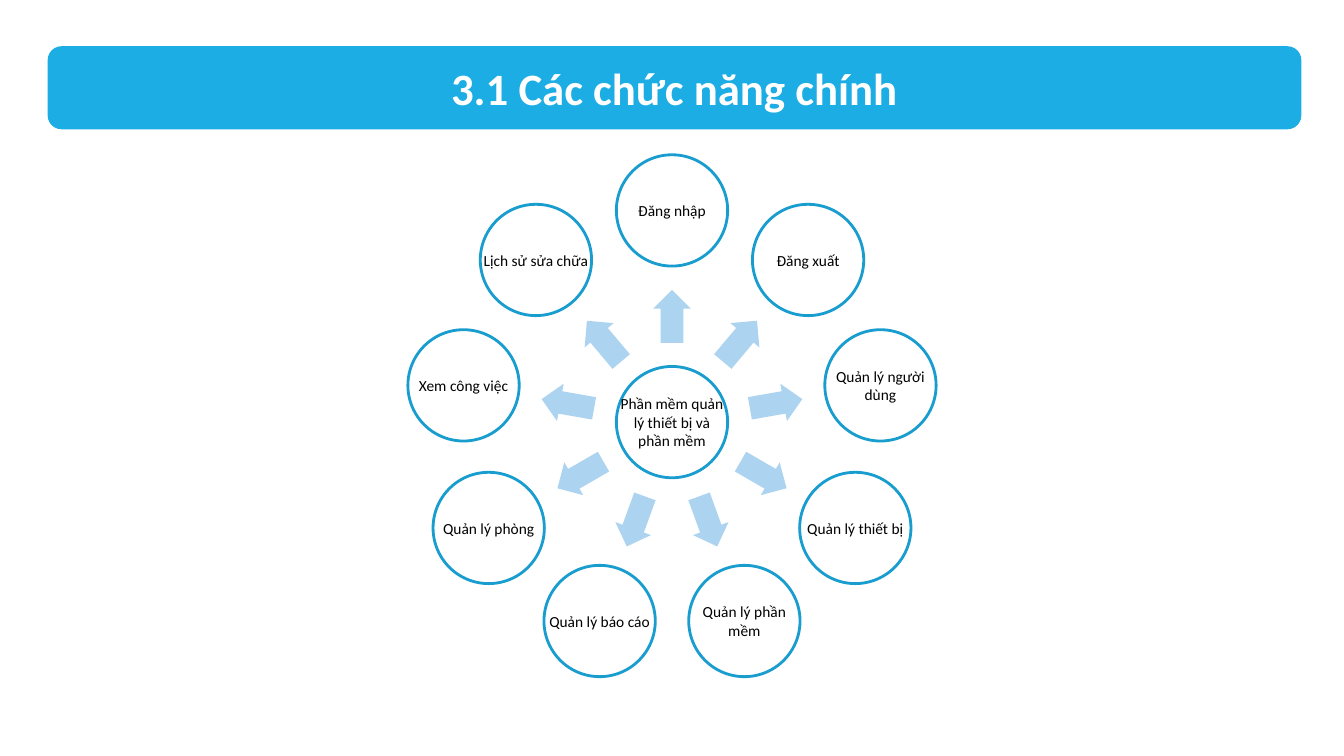
from math import cos, radians, sin

from pptx import Presentation
from pptx.dml.color import RGBColor
from pptx.enum.shapes import MSO_SHAPE
from pptx.enum.text import MSO_ANCHOR, PP_ALIGN
from pptx.util import Pt

COLOURS = {
    "banner": "1CADE4",
    "banner_text": "FFFFFF",
    "circle": "FFFFFF",
    "ring": "199DCF",
    "arrow": "ACD3EF",
    "label": "000000",
}
CORE = "Phần mềm quản lý thiết bị và phần mềm"
FUNCTIONS = [
    "Đăng nhập",
    "Đăng xuất",
    "Quản lý người dùng",
    "Quản lý thiết bị",
    "Quản lý phần mềm",
    "Quản lý báo cáo",
    "Quản lý phòng",
    "Xem công việc",
    "Lịch sử sửa chữa",
]

# Radial layout, in points
CENTRE_X, CENTRE_Y = 480, 301.5
CIRCLE_ORBIT, ARROW_ORBIT = 151.2, 75.5
CIRCLE_SIZE = 79.5
ARROW_LENGTH, ARROW_WIDTH = 38, 27


def colour(name):
    return RGBColor.from_string(COLOURS[name])


def write(frame, text, *, size, ink, bold=False, inset=0, font="Calibri"):
    frame.word_wrap = True
    frame.vertical_anchor = MSO_ANCHOR.MIDDLE
    frame.margin_left = frame.margin_right = Pt(inset)
    frame.margin_top = frame.margin_bottom = Pt(inset)
    paragraph = frame.paragraphs[0]
    paragraph.alignment = PP_ALIGN.CENTER
    run = paragraph.add_run()
    run.text = text
    run.font.name = font
    run.font.size = Pt(size)
    run.font.bold = bold
    run.font.color.rgb = colour(ink)


class RadialSlide:
    def __init__(self, slide, label_size=11, title_size=32, ring_width=2):
        self.shapes = slide.shapes
        self.label_size = label_size
        self.title_size = title_size
        self.ring_width = ring_width

    def block(self, kind, x, y, width, height, fill):
        """Add a plain filled shape centred on x, y."""
        block = self.shapes.add_shape(
            kind, Pt(x - width / 2), Pt(y - height / 2), Pt(width), Pt(height))
        block.shadow.inherit = False
        block.fill.solid()
        block.fill.fore_color.rgb = colour(fill)
        block.line.fill.background()
        return block

    def banner(self, text, x, y, width, height):
        banner = self.block(
            MSO_SHAPE.ROUNDED_RECTANGLE, x, y, width, height, "banner")
        write(banner.text_frame, text, size=self.title_size,
              ink="banner_text", bold=True)

    def circle(self, text, x, y):
        ring = self.block(
            MSO_SHAPE.OVAL, x, y, CIRCLE_SIZE, CIRCLE_SIZE, "circle")
        ring.line.color.rgb = colour("ring")
        ring.line.width = Pt(self.ring_width)
        # The label spans the full diameter, wider than an oval's text area
        label = self.shapes.add_textbox(
            ring.left, ring.top, ring.width, ring.height)
        write(label.text_frame, text, size=self.label_size,
              ink="label", inset=1.2)

    def arrow(self, x, y, angle):
        arrow = self.block(
            MSO_SHAPE.RIGHT_ARROW, x, y, ARROW_LENGTH, ARROW_WIDTH, "arrow")
        arrow.adjustments[0] = 0.6
        arrow.adjustments[1] = 0.5
        arrow.rotation = angle % 360


def orbit(radius, angle):
    turn = radians(angle)
    return CENTRE_X + radius * cos(turn), CENTRE_Y + radius * sin(turn)


def main():
    deck = Presentation()
    deck.slide_width, deck.slide_height = Pt(960), Pt(540)
    page = RadialSlide(deck.slides.add_slide(deck.slide_layouts[6]))

    # Core of the diagram
    page.circle(CORE, CENTRE_X, CENTRE_Y)

    # Functions, clockwise from the top
    for index, function in enumerate(FUNCTIONS):
        angle = index * 360 / len(FUNCTIONS) - 90
        page.arrow(*orbit(ARROW_ORBIT, angle), angle)
        page.circle(function, *orbit(CIRCLE_ORBIT, angle))

    # Title
    page.banner("3.1 Các chức năng chính", 481.8, 62.7, 895.5, 59.3)

    deck.save("out.pptx")


if __name__ == "__main__":
    main()
